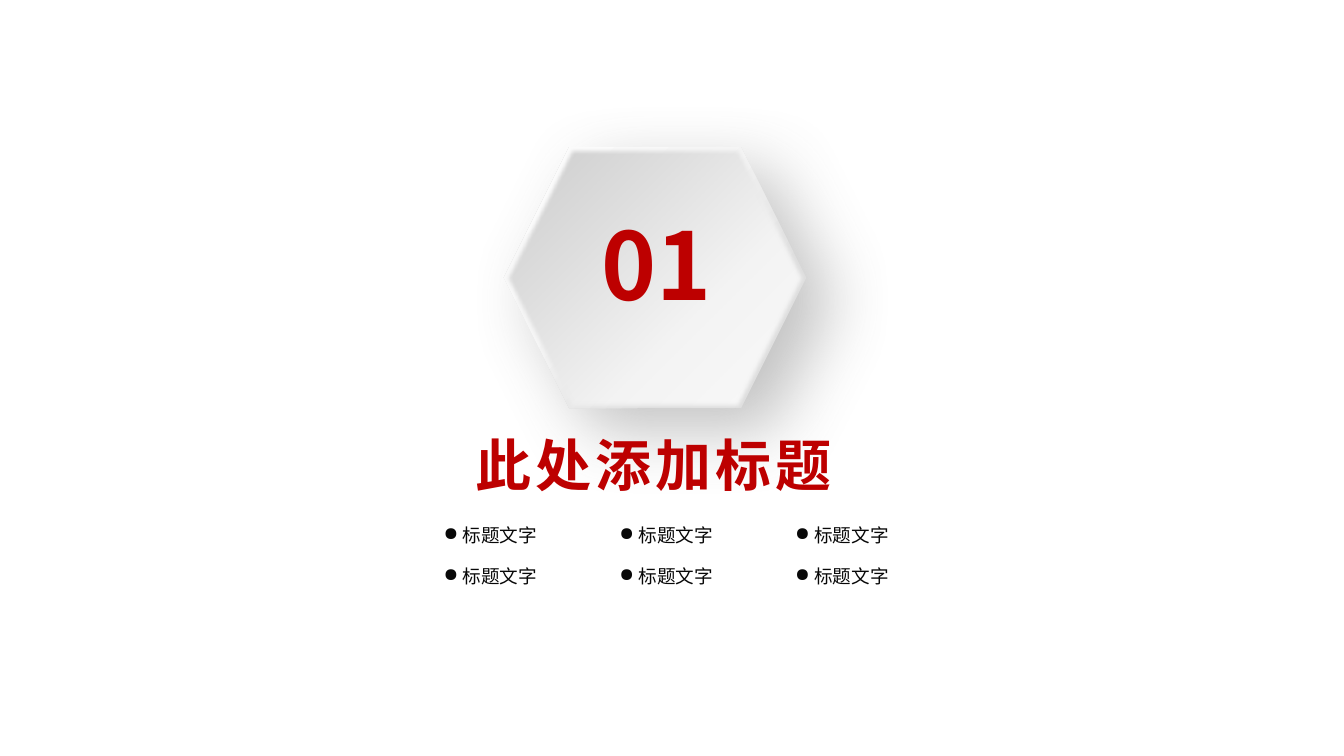
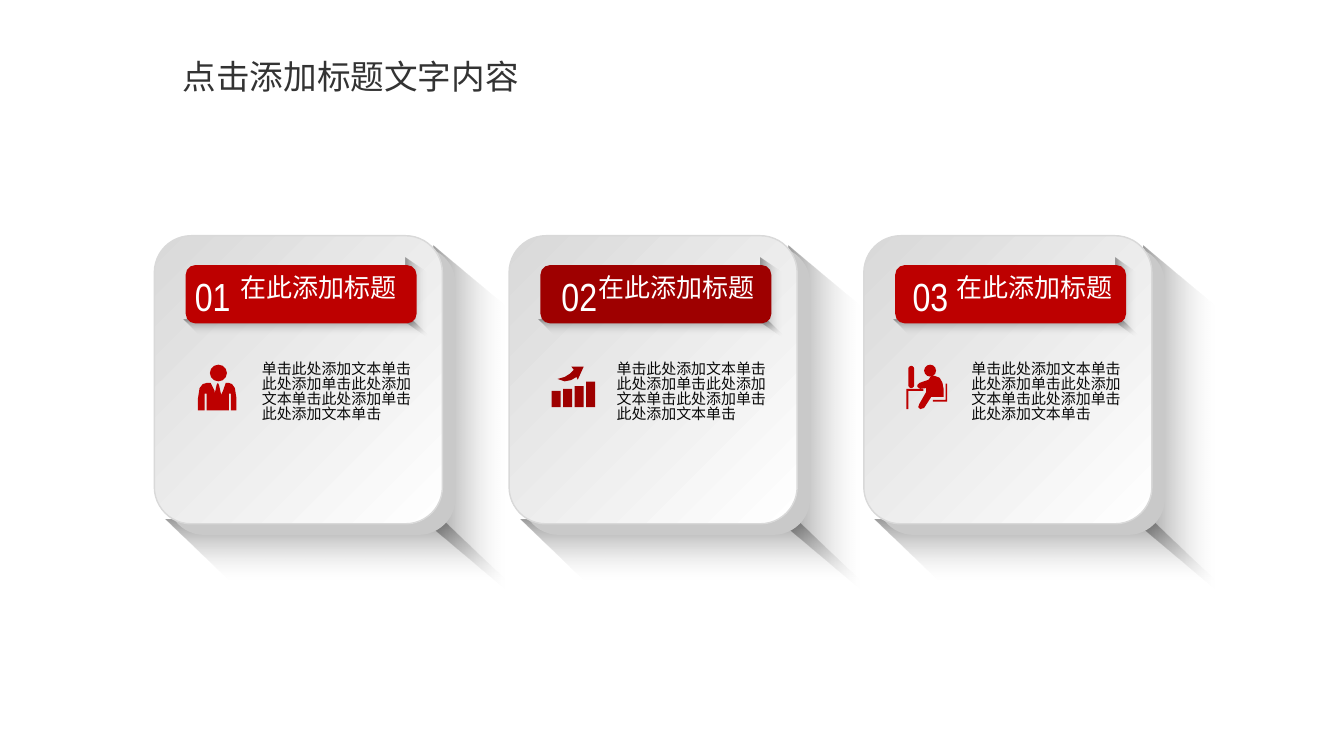
from lxml import etree
from pptx import Presentation
from pptx.dml.color import RGBColor
from pptx.enum.shapes import MSO_SHAPE
from pptx.enum.text import PP_ALIGN
from pptx.oxml.ns import qn
from pptx.util import Cm, Pt

HEXAGON = MSO_SHAPE.HEXAGON
OVAL = MSO_SHAPE.OVAL
PARALLELOGRAM = MSO_SHAPE.PARALLELOGRAM
RECTANGLE = MSO_SHAPE.RECTANGLE
ROUNDED = MSO_SHAPE.ROUNDED_RECTANGLE
LEFT, CENTER = PP_ALIGN.LEFT, PP_ALIGN.CENTER

CHINESE_FONT, NUMBER_FONT = "Noto Sans CJK SC", "Arial Narrow"
RED, DARK_RED = "BD0000", "9E0000"
INK, HEADING_GREY, WHITE = "080808", "333333", "FFFFFF"
SIDE_GREY, EDGE_GREY = "C9C9C9", "D9D9D9"

# Gradient stops: position %, colour, opacity %
HEXAGON_RIM = [(1, "DEDEDE", 100), (30, "E0E0E0", 100), (61, "F6F6F6", 100), (100, WHITE, 100)]
HEXAGON_FACE = [(0, "CBCBCB", 100), (32, "DEDEDE", 100), (64, "F3F3F3", 100), (100, "F9F9F9", 100)]
CARD_FACE = [(0, EDGE_GREY, 100), (100, WHITE, 100)]
LONG_SHADOW = [(0, INK, 40), (51, "6D6D6D", 20), (100, EDGE_GREY, 0)]

# Section slide, lengths in cm
SECTION_NUMBER = "01"
SECTION_TITLE = "此处添加标题"
SECTION_POINTS = [["标题文字"] * 3, ["标题文字"] * 3]
HEXAGON_BOX = (12.7, 3.71, 7.62, 6.58)
POINTS_LEFT, POINTS_TOP = 11.18, 13.27
POINT_PITCH_X, POINT_PITCH_Y = 4.43, 1.03

# Card slide; everything on a card is measured in cm from its top left corner
HEADING = "点击添加标题文字内容"
CARD_TITLE = "在此添加标题"
CARD_BODY = "单击此处添加文本单击此处添加单击此处添加文本单击此处添加单击此处添加文本单击"
CARDS_LEFT, CARDS_TOP, CARD_PITCH, CARD_SIZE = 3.89, 5.94, 8.94, 7.26
CARD_RADIUS = 0.128

# Long shadows: box, rotation, adjustment
CARD_SHADOWS = [((3.61, 3.68, 8.66, 1.78), 90, 0.852),
                ((0.28, 7.16, 8.56, 1.5), 0, 1.068)]
BANNER_SHADOWS = [((5.61, 1.3, 1.98, 0.51), 90, 0.728),
                  ((0.74, 2.11, 6.15, 0.38), 0, 1.068)]

BUSINESSMAN = {
    "presets": [(OVAL, (1.4, 3.25, 0.43, 0.42))],
    "outlines": [[
        (2.03, 3.84), (1.96, 3.74), (1.88, 3.71), (1.8, 3.71), (1.73, 3.91),
        (1.6, 4.17), (1.68, 3.99), (1.63, 3.76), (1.6, 3.71), (1.57, 3.76),
        (1.52, 3.99), (1.52, 3.91), (1.42, 3.71), (1.32, 3.71), (1.22, 3.74),
        (1.14, 3.84), (1.1, 4.1), (1.1, 4.4), (1.27, 4.4), (1.27, 3.98),
        (1.32, 3.98), (1.32, 4.4), (1.88, 4.4), (1.88, 3.98), (1.93, 3.98),
        (1.93, 4.4), (2.07, 4.4), (2.07, 4.1)]],
}
BAR_HEIGHTS = [0.41, 0.46, 0.53, 0.64]
GROWTH_CHART = {
    "presets": [(RECTANGLE, (1.07 + 0.29 * i, 4.32 - height, 0.23, height))
                for i, height in enumerate(BAR_HEIGHTS)],
    "outlines": [[(1.63, 3.38), (1.53, 3.48), (1.4, 3.56), (1.22, 3.61),
                  (1.4, 3.67), (1.56, 3.64), (1.7, 3.56), (1.73, 3.63),
                  (1.88, 3.3), (1.57, 3.3)]],
}
DESK_WORKER = {
    "presets": [(ROUNDED, (1.12, 3.28, 0.15, 0.56)), (OVAL, (1.52, 3.25, 0.3, 0.3))],
    "outlines": [
        [(1.07, 3.86), (1.5, 3.86), (1.5, 3.91), (1.12, 3.91), (1.12, 4.37), (1.07, 4.37)],
        [(1.4, 4.24), (1.37, 4.32), (1.42, 4.37), (1.52, 4.34), (1.7, 4.06),
         (2.01, 4.06), (2.01, 3.86), (1.98, 3.7), (1.91, 3.58), (1.78, 3.53),
         (1.7, 3.53), (1.63, 3.63), (1.4, 3.71), (1.35, 3.76), (1.35, 3.81),
         (1.42, 3.86), (1.57, 3.84), (1.57, 3.94)],
        [(1.74, 4.14), (2.06, 4.14), (2.06, 3.73), (2.1, 3.73), (2.1, 4.18), (1.74, 4.18)]],
}
CARDS = [
    {"number": "01", "color": RED, "number_left": 0.58, "title_left": 1.93, "icon": BUSINESSMAN},
    {"number": "02", "color": DARK_RED, "number_left": 0.88, "title_left": 2.01, "icon": GROWTH_CHART},
    {"number": "03", "color": RED, "number_left": 0.79, "title_left": 2.08, "icon": DESK_WORKER},
]


def color(hex_string):
    return RGBColor.from_string(hex_string)


def add_xml(parent, tag, **attributes):
    return etree.SubElement(parent, qn(tag), {key: str(value) for key, value in attributes.items()})


def add_xml_color(parent, hex_string, opacity):
    element = add_xml(parent, "a:srgbClr", val=hex_string)
    if opacity < 100:
        add_xml(element, "a:alpha", val=opacity * 1000)


def paint(shape, fill, angle=0, line=None):
    """Fill with one colour, or with gradient stops at a clockwise angle."""
    shape.shadow.inherit = False
    if isinstance(fill, str):
        shape.fill.solid()
        shape.fill.fore_color.rgb = color(fill)
    else:
        shape.fill.gradient()
        gradient = shape._element.spPr.find(qn("a:gradFill"))
        stops = gradient.find(qn("a:gsLst"))
        for stop in list(stops):
            stops.remove(stop)
        for position, hex_string, opacity in fill:
            stop = add_xml(stops, "a:gs", pos=position * 1000)
            add_xml_color(stop, hex_string, opacity)
        gradient.find(qn("a:lin")).set("ang", str(angle * 60000))
    if line:
        shape.line.color.rgb = color(line)
        shape.line.width = Pt(1)
    else:
        shape.line.fill.background()


def add_preset(shapes, kind, box, fill, adjustment=None, **style):
    shape = shapes.add_shape(kind, *map(Cm, box))
    if adjustment is not None:
        shape.adjustments[0] = adjustment
    paint(shape, fill, **style)
    return shape


def add_outline(shapes, points, fill):
    corners = [(Cm(x), Cm(y)) for x, y in points]
    builder = shapes.build_freeform(*corners[0])
    builder.add_line_segments(corners[1:])
    paint(builder.convert_to_shape(), fill)


def add_text(shapes, box, text, size, hex_string, font=CHINESE_FONT, bold=False,
             align=LEFT, line_spacing=0.88, inset=True, tracking=0, bullet=False):
    text_frame = shapes.add_textbox(*map(Cm, box)).text_frame
    text_frame.word_wrap = True
    if not inset:
        text_frame.margin_left = text_frame.margin_right = 0
        text_frame.margin_top = text_frame.margin_bottom = 0
    paragraph = text_frame.paragraphs[0]
    paragraph.text = text
    paragraph.alignment = align
    paragraph.line_spacing = line_spacing
    properties = paragraph._p.get_or_add_pPr()
    if bullet:
        indent = Cm(0.48)
        properties.set("marL", str(indent))
        properties.set("indent", str(-indent))
        add_xml(properties, "a:buChar", char="●")
    paragraph.font.size = Pt(size)
    paragraph.font.bold = bold
    paragraph.font.color.rgb = color(hex_string)
    paragraph.font.name = font
    defaults = properties.find(qn("a:defRPr"))
    add_xml(defaults, "a:ea", typeface=font)
    if tracking:
        defaults.set("spc", str(tracking * 100))


def add_long_shadow(shapes, box, rotation, adjustment):
    shape = add_preset(shapes, PARALLELOGRAM, box, LONG_SHADOW, adjustment, angle=90)
    shape.rotation = rotation
    frame = shape._element.spPr.find(qn("a:xfrm"))
    frame.set("flipH", "1")
    if rotation:
        frame.set("flipV", "1")


def add_hexagon(shapes):
    rim = add_preset(shapes, HEXAGON, HEXAGON_BOX, HEXAGON_RIM, angle=225)
    effects = rim._element.spPr.find(qn("a:effectLst"))
    shadow = add_xml(effects, "a:outerShdw", blurRad=Pt(49), dist=Pt(25),
                     dir=40 * 60000, algn="tl", rotWithShape=0)
    add_xml_color(shadow, "696969", 40)
    face = add_preset(shapes, HEXAGON, HEXAGON_BOX, HEXAGON_FACE, angle=45)
    add_xml(face._element.spPr.find(qn("a:effectLst")), "a:softEdge", rad=Pt(3))


def build_section_slide(slide):
    shapes = slide.shapes
    add_hexagon(shapes)
    add_text(shapes, (15.16, 5.59, 5.54, 3.02), SECTION_NUMBER, 66.7, RED, bold=True, inset=False)
    add_text(shapes, (11.73, 10.95, 10.2, 2.06), SECTION_TITLE, 40, RED, bold=True, tracking=3)
    for row, points in enumerate(SECTION_POINTS):
        for column, point in enumerate(points):
            box = (POINTS_LEFT + column * POINT_PITCH_X, POINTS_TOP + row * POINT_PITCH_Y, 4.2, 0.61)
            add_text(shapes, box, point, 13.3, INK, inset=False, bullet=True)


def add_card(shapes, left, top, card):
    def place(x, y, width, height):
        return left + x, top + y, width, height

    def add_shadows(shadows):
        for box, rotation, adjustment in shadows:
            add_long_shadow(shapes, place(*box), rotation, adjustment)

    add_shadows(CARD_SHADOWS)
    add_preset(shapes, ROUNDED, place(0.33, 0.28, CARD_SIZE, CARD_SIZE), SIDE_GREY, CARD_RADIUS)
    add_preset(shapes, ROUNDED, place(0, 0, CARD_SIZE, CARD_SIZE), CARD_FACE, CARD_RADIUS,
               angle=45, line=EDGE_GREY)
    add_shadows(BANNER_SHADOWS)
    add_preset(shapes, ROUNDED, place(0.79, 0.74, 5.82, 1.47), card["color"])
    add_text(shapes, place(card["number_left"], 0.79, 1.78, 1.45), card["number"], 28, WHITE,
             font=NUMBER_FONT, align=CENTER, line_spacing=1.0)
    add_text(shapes, place(card["title_left"], 0.89, 5.33, 1.04), CARD_TITLE, 18.6, WHITE)
    add_text(shapes, place(2.46, 3.07, 4.4, 2.54), CARD_BODY, 10.7, INK, line_spacing=0.83)
    for kind, box in card["icon"]["presets"]:
        add_preset(shapes, kind, place(*box), card["color"], 0.5 if kind == ROUNDED else None)
    for points in card["icon"]["outlines"]:
        add_outline(shapes, [(left + x, top + y) for x, y in points], card["color"])


def build_card_slide(slide):
    for index, card in enumerate(CARDS):
        group = slide.shapes.add_group_shape()
        add_card(group.shapes, CARDS_LEFT + index * CARD_PITCH, CARDS_TOP, card)
    add_text(slide.shapes, (2.59, 1.42, 12.5, 1.35), HEADING, 24, HEADING_GREY, align=CENTER)


def main():
    presentation = Presentation()
    presentation.slide_width, presentation.slide_height = Cm(33.87), Cm(19.05)
    blank = presentation.slide_layouts[6]
    for build in (build_section_slide, build_card_slide):
        build(presentation.slides.add_slide(blank))
    presentation.save("out.pptx")


if __name__ == "__main__":
    main()
